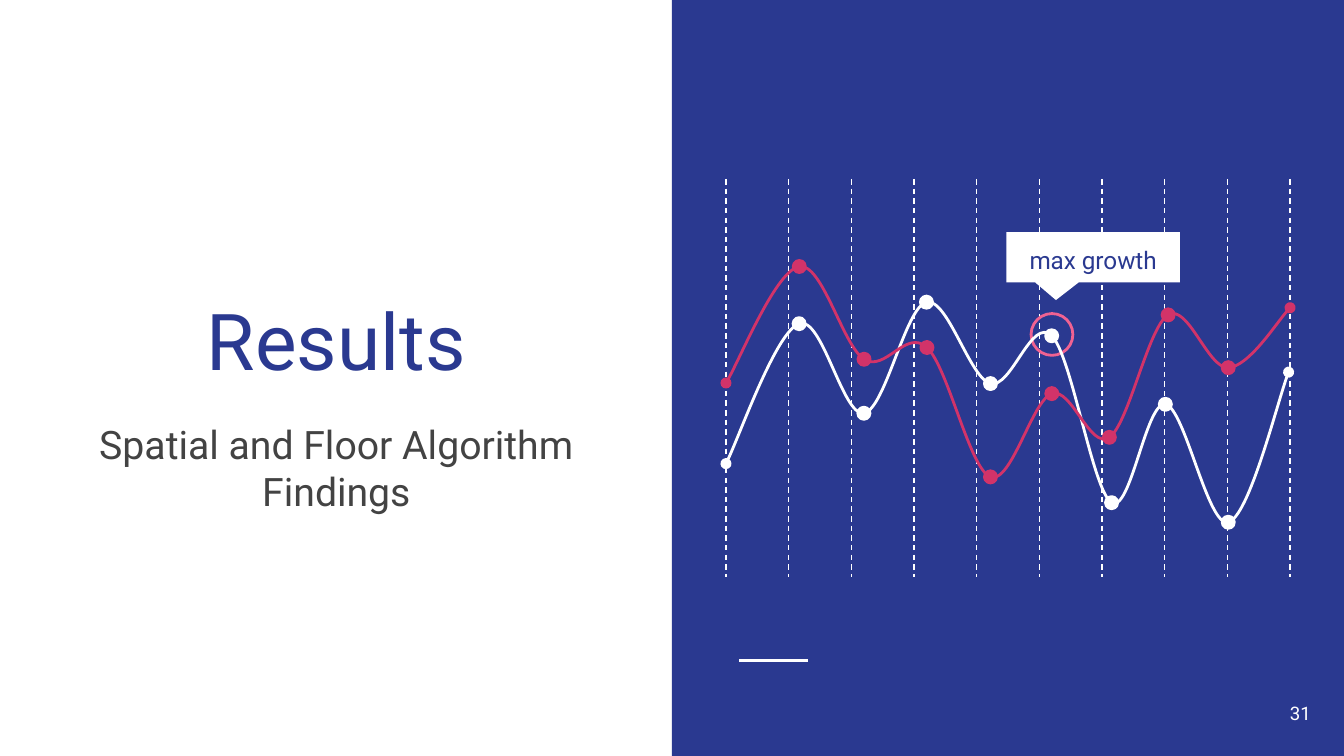
from lxml.etree import SubElement
from pptx import Presentation
from pptx.dml.color import RGBColor
from pptx.enum.dml import MSO_LINE
from pptx.enum.shapes import MSO_CONNECTOR, MSO_SHAPE
from pptx.enum.text import MSO_ANCHOR as ANCHOR, PP_ALIGN as ALIGN
from pptx.oxml.ns import qn
from pptx.util import Pt

BLUE, WHITE, PINK, RING, GREY = "2A3990", "FFFFFF", "D23369", "F06292", "434343"
WHITE_POINTS = [(388.9, 248.4), (428.1, 173.4), (462.8, 221.4), (496.3, 161.9), (530.6, 205.5),
                (563.4, 179.9), (595.5, 269.3), (624.3, 216.6), (658, 279.8), (690.3, 199.4)]
PINK_POINTS = [(388.9, 205.2), (428.2, 142.8), (462.9, 192.5), (496.6, 186.2), (530.6, 255.5),
               (563.5, 210.9), (594.3, 234.3), (625.8, 168.7), (658, 197), (691.1, 164.9)]


def rgb(hex_color):
    return RGBColor.from_string(hex_color)


class Deck:
    """Hold the style and the current slide, and add each kind of element."""

    font = "Roboto"
    inset = Pt(7.2)
    line_width = Pt(1.5)

    def __init__(self, width, height):
        self.prs = Presentation()
        self.prs.slide_width, self.prs.slide_height = Pt(width), Pt(height)
        self.s = self.prs.slides.add_slide(self.prs.slide_layouts[6])

    def paint(self, sp, fill, line):
        sp.shadow.inherit = False
        if fill:
            sp.fill.solid()
            sp.fill.fore_color.rgb = rgb(fill)
        else:
            sp.fill.background()
        if line:
            sp.line.color.rgb = rgb(line)
            sp.line.width = self.line_width
        else:
            sp.line.fill.background()

    def shape(self, kind, x, y, w, h, fill=None, line=None, adj=()):
        sp = self.s.shapes.add_shape(kind, Pt(x), Pt(y), Pt(w), Pt(h))
        self.paint(sp, fill, line)
        for i, value in enumerate(adj):
            sp.adjustments[i] = value

    def line(self, x1, y1, x2, y2, color, width=1.5, dash=None):
        cn = self.s.shapes.add_connector(MSO_CONNECTOR.STRAIGHT, Pt(x1), Pt(y1), Pt(x2), Pt(y2))
        cn.line.color.rgb = rgb(color)
        cn.line.width = Pt(width)
        if dash:
            cn.line.dash_style = dash
        SubElement(cn._element.spPr, qn("a:effectLst"))

    def smooth(self, sp):
        knots = [(int(pt.get("x")), int(pt.get("y"))) for pt in sp._element.iter(qn("a:pt"))]
        padded = [knots[0], *knots, knots[-1]]
        segments = list(sp._element.iter(qn("a:lnTo")))
        for seg, a, b, c, d in zip(segments, padded, padded[1:], padded[2:], padded[3:]):
            seg.tag = qn("a:cubicBezTo")
            seg.remove(seg[0])
            leave = [q + (r - p) / 6 for p, q, r in zip(a, b, c)]
            arrive = [r - (s - q) / 6 for q, r, s in zip(b, c, d)]
            for x, y in (leave, arrive, c):
                SubElement(seg, qn("a:pt"), x=str(round(x)), y=str(round(y)))

    def series(self, points, color, dot=6.5):
        start, *rest = [(Pt(x), Pt(y)) for x, y in points]
        fb = self.s.shapes.build_freeform(*start)
        fb.add_line_segments(rest, close=False)
        sp = fb.convert_to_shape()
        self.smooth(sp)
        self.paint(sp, None, color)
        ln = sp._element.spPr.find(qn("a:ln"))
        for end in ("a:headEnd", "a:tailEnd"):
            SubElement(ln, qn(end), type="oval")
        for x, y in points[1:-1]:
            self.shape(MSO_SHAPE.OVAL, x - dot / 2, y - dot / 2, dot, dot, color, color)

    def text(self, text, x, y, w, h, size, color, align=ALIGN.CENTER, anchor=ANCHOR.MIDDLE,
             spacing=None):
        tf = self.s.shapes.add_textbox(Pt(x), Pt(y), Pt(w), Pt(h)).text_frame
        tf.word_wrap = True
        tf.vertical_anchor = anchor
        tf.margin_left = tf.margin_right = tf.margin_top = tf.margin_bottom = self.inset
        p = tf.paragraphs[0]
        p.alignment = align
        if spacing:
            p.line_spacing = spacing
        r = p.add_run()
        r.text = text
        r.font.name, r.font.size, r.font.color.rgb = self.font, Pt(size), rgb(color)


def main():
    deck = Deck(720, 405)
    deck.shape(MSO_SHAPE.RECTANGLE, 360, 0, 360, 405, BLUE)
    deck.line(396, 354, 432.7, 354, WHITE)
    for i in range(10):
        x = 388.9 + i * 33.58
        deck.line(x, 95.9, x, 308.9, WHITE, 0.75, MSO_LINE.DASH)
    deck.shape(MSO_SHAPE.OVAL, 552.4, 168, 22.4, 22.4, line=RING)
    deck.text("Results", 21.1, 91.1, 318.2, 123, 42, BLUE, anchor=ANCHOR.BOTTOM)
    deck.text("Spatial and Floor Algorithm Findings", 21.1, 218.2, 318.2, 100, 21, GREY,
              anchor=ANCHOR.TOP)
    deck.series(WHITE_POINTS, WHITE)
    deck.shape(MSO_SHAPE.ROUNDED_RECTANGULAR_CALLOUT, 539.1, 124.3, 93, 27, WHITE,
               adj=(-0.214, 0.85, 0))
    deck.series(PINK_POINTS, PINK)
    deck.text("max growth", 539.1, 126.7, 93, 22.4, 13, BLUE, spacing=1.15)
    deck.text("31", 666.1, 366.5, 43.2, 31, 10, WHITE, ALIGN.RIGHT)
    deck.prs.save("out.pptx")


if __name__ == "__main__":
    main()
